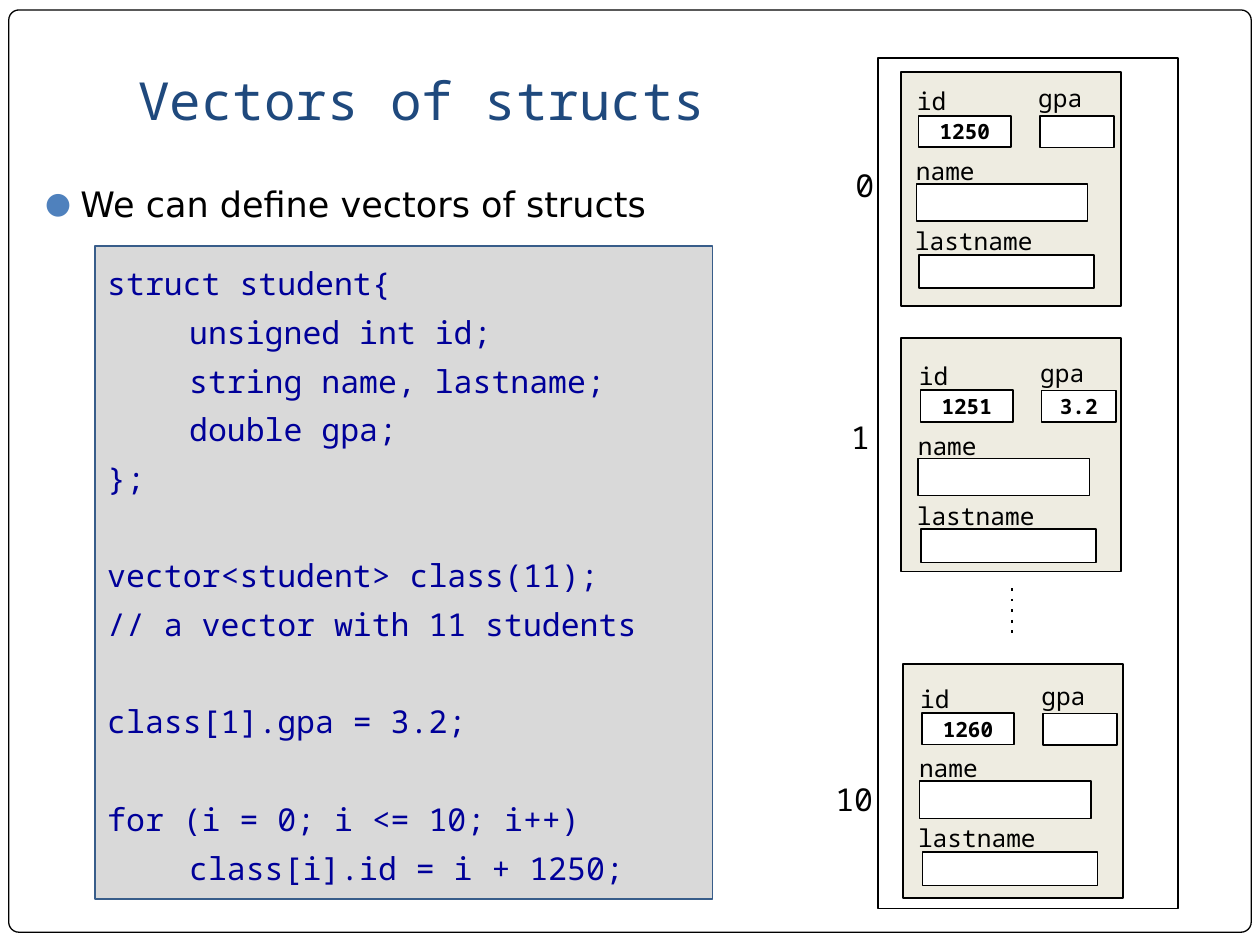
from dataclasses import dataclass

from lxml import etree
from pptx import Presentation
from pptx.dml.color import RGBColor
from pptx.enum import dml, shapes, text
from pptx.oxml import ns
from pptx.util import Pt


@dataclass(frozen=True)
class Theme:
    black: str = "000000"
    white: str = "FFFFFF"
    card: str = "EEECE1"
    code_fill: str = "D9D9D9"
    code_line: str = "385D8A"
    code_text: str = "000099"
    title: str = "1F497D"
    bullet: str = "4F81BD"
    mono: str = "Noto Sans Mono"
    sans: str = "DejaVu Sans"
    title_size: int = 30
    body_size: int = 20
    code_size: int = 18
    label_size: int = 14
    value_size: int = 12


THEME = Theme()


def add_box(parent, bounds, fill=THEME.white, line=THEME.black, width=1,
            kind=shapes.MSO_SHAPE.RECTANGLE):
    shape = parent.add_shape(kind, *map(Pt, bounds))
    shape.shadow.inherit = False
    shape.fill.solid()
    shape.fill.fore_color.rgb = RGBColor.from_string(fill)
    shape.line.color.rgb = RGBColor.from_string(line)
    shape.line.width = Pt(width)
    return shape


def add_text(parent, bounds, words, size, color=THEME.black, font=THEME.mono,
             bold=False):
    """Write a one-run text box, or into a shape given as parent with no bounds."""
    shape = parent.add_textbox(*map(Pt, bounds)) if bounds else parent
    shape.text_frame.word_wrap = True
    paragraph = shape.text_frame.paragraphs[0]
    if paragraph.runs:
        paragraph = shape.text_frame.add_paragraph()
    paragraph.alignment = text.PP_ALIGN.LEFT
    run = paragraph.add_run()
    run.text = words
    run.font.size = Pt(size)
    run.font.name = font
    run.font.bold = bold
    run.font.color.rgb = RGBColor.from_string(color)
    return shape, paragraph


presentation = Presentation()
presentation.slide_width, presentation.slide_height = Pt(720), Pt(540)
slide = presentation.slides.add_slide(presentation.slide_layouts[6])

frame = add_box(slide.shapes, (5, 5.7, 710, 527), width=0.75,
                kind=shapes.MSO_SHAPE.ROUNDED_RECTANGLE)
frame.adjustments[0] = 0.011

# Title and bullet
title, _ = add_text(slide.shapes, (72, 21.6, 612, 60.5), "Vectors of structs",
                    THEME.title_size, THEME.title)
title.text_frame.vertical_anchor = text.MSO_ANCHOR.BOTTOM
title.text_frame.margin_bottom = Pt(7.2)

_, point = add_text(slide.shapes, (17.3, 97.2, 431.3, 49.7),
                    "We can define vectors of structs",
                    THEME.body_size, font=THEME.sans)
point.line_spacing = 1.15
properties = point._p.get_or_add_pPr()
properties.set("marL", str(Pt(21.6)))
properties.set("indent", str(Pt(-20.2)))
bullet_color = etree.SubElement(properties, ns.qn("a:buClr"))
etree.SubElement(bullet_color, ns.qn("a:srgbClr"), val=THEME.bullet)
etree.SubElement(properties, ns.qn("a:buSzPct"), val="85000")
etree.SubElement(properties, ns.qn("a:buFont"), typeface=THEME.sans)
etree.SubElement(properties, ns.qn("a:buChar"), char="●")

# Code: (words, is indented, follows a gap)
CODE = [
    ("struct student{", False, False),
    ("unsigned int id;", True, False),
    ("string name, lastname;", True, False),
    ("double gpa;", True, False),
    ("};", False, False),
    ("vector<student> class(11);", False, True),
    ("// a vector with 11 students", False, False),
    ("class[1].gpa = 3.2;", False, True),
    ("for (i = 0; i <= 10; i++)", False, True),
    ("class[i].id = i + 1250;", True, False),
]
code = add_box(slide.shapes, (54.2, 140.6, 353, 373), THEME.code_fill, THEME.code_line)
code.text_frame.vertical_anchor = text.MSO_ANCHOR.MIDDLE
for words, indented, after_gap in CODE:
    _, paragraph = add_text(code, None, words, THEME.code_size, THEME.code_text)
    paragraph.line_spacing = 1.15
    paragraph.space_before = Pt(30.8 if after_gap else 3)
    if indented:
        paragraph._p.get_or_add_pPr().set("marL", str(Pt(46.8)))

# Vector with its student records
add_box(slide.shapes, (501.8, 33.1, 171.4, 486))

# Field: (name, box bounds, label bounds), measured from the id box
FIELDS = [
    ("id", (0, 0, 52.9, 18), (-8, -20.2, 40.3, 23.8)),
    ("gpa", (69.2, 0.2, 42.5, 18), (61.3, -22, 52.6, 23.8)),
    ("name", (-1.2, 39, 97.8, 21.2), (-8.6, 19.5, 61.9, 23.8)),
    ("lastname", (0.4, 79.5, 100.1, 19), (-9.2, 59.5, 111.6, 23.8)),
]
# Record: (index, index bounds, card corner, id box corner, values)
RECORDS = [
    ("0", (481.7, 91.6, 25.9, 28.8), (515, 41.2), (524.9, 66.1), {"id": "1250"}),
    ("1", (479.2, 235.6, 25.9, 28.8), (514.8, 193), (526, 223),
     {"id": "1251", "gpa": "3.2"}),
    ("10", (470.2, 442.3, 37.4, 28.8), (516, 379.4), (526.7, 407.5), {"id": "1260"}),
]
for index, index_bounds, card_corner, (left, top), values in RECORDS:
    add_text(slide.shapes, index_bounds, index, THEME.code_size)
    record = slide.shapes.add_group_shape().shapes
    add_box(record, (*card_corner, 125.6, 133.6), THEME.card)
    for name, (box_x, box_y, *box_size), (label_x, label_y, *label_size) in FIELDS:
        box = add_box(record, (left + box_x, top + box_y, *box_size))
        if name in values:
            _, paragraph = add_text(box, None, values[name], THEME.value_size, bold=True)
            paragraph.alignment = text.PP_ALIGN.CENTER
            box.text_frame.vertical_anchor = text.MSO_ANCHOR.MIDDLE
        add_text(record, (left + label_x, top + label_y, *label_size),
                 name, THEME.label_size)

# Dotted line for the records left out
dots = slide.shapes.add_connector(shapes.MSO_CONNECTOR.STRAIGHT,
                                  Pt(578.2), Pt(336.2), Pt(578.2), Pt(362.2))
dots.line.color.rgb = RGBColor.from_string(THEME.black)
dots.line.width = Pt(1.5)
dots.line.dash_style = dml.MSO_LINE.ROUND_DOT
dots._element.spPr.find(".//" + ns.qn("a:prstDash")).set("val", "dot")
etree.SubElement(dots._element.spPr, ns.qn("a:effectLst"))

presentation.save("out.pptx")
